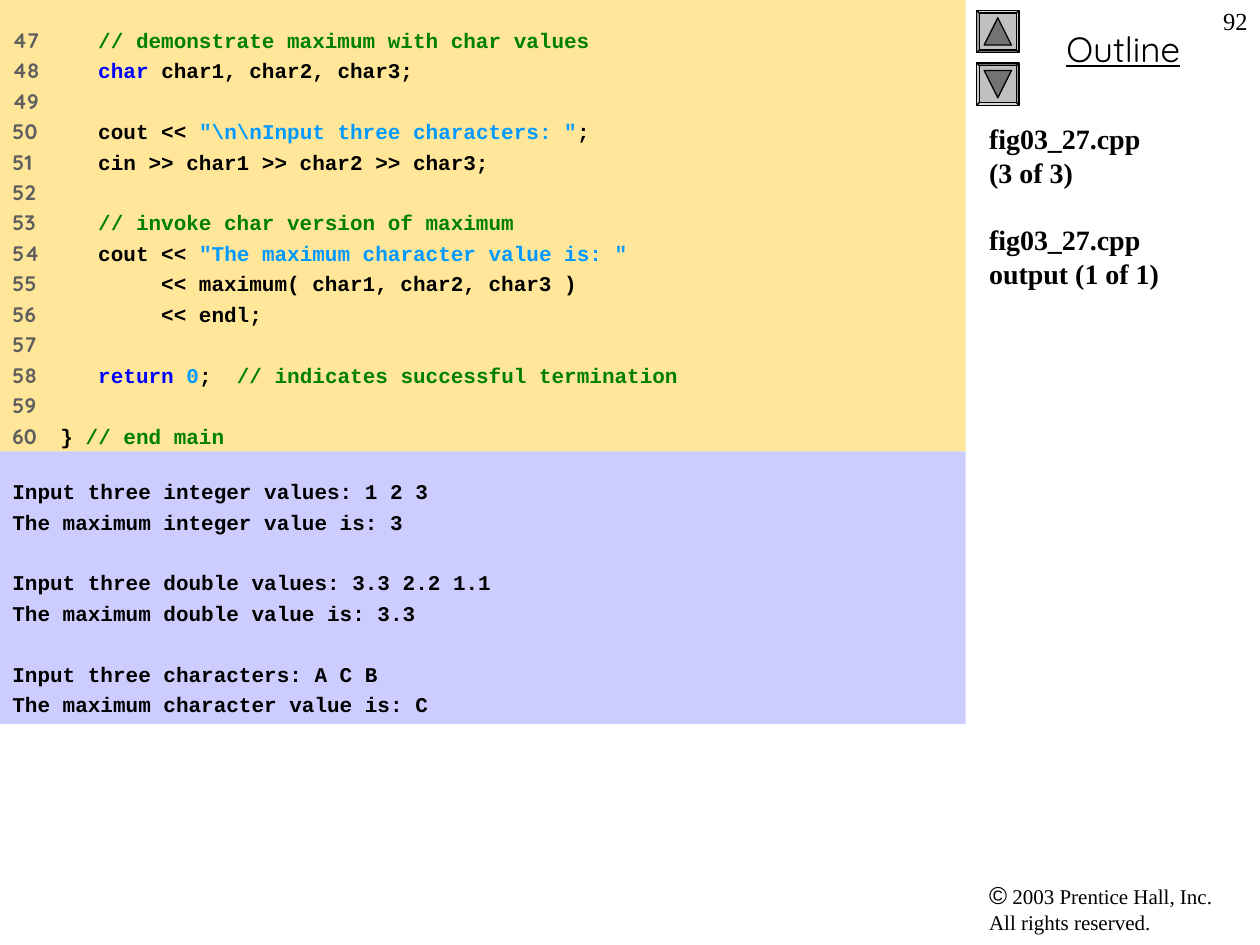
from pptx import Presentation
from pptx.dml.color import RGBColor
from pptx.enum import shapes, text
from pptx.util import Cm, Pt

BLACK = RGBColor(0x00, 0x00, 0x00)
NUMBER_GRAY = RGBColor(0x5F, 0x5F, 0x5F)
COMMENT = RGBColor(0x00, 0x80, 0x00)
KEYWORD = RGBColor(0x00, 0x00, 0xFF)
LITERAL = RGBColor(0x00, 0x99, 0xFF)
CODE_FILL = RGBColor(0xFF, 0xE6, 0x99)
OUTPUT_FILL = RGBColor(0xCC, 0xCC, 0xFF)
BUTTON_FILL = RGBColor(0xC0, 0xC0, 0xC0)
ARROW_FILL = RGBColor(0x73, 0x73, 0x73)

MONO, SERIF, ROUND = "Courier New", "Times New Roman", "Quicksand"
PANEL_WIDTH = 19.47
SIDE_LEFT = 19.69
CODE_SIZE = 12
LEADING = 1.2
CODE_GAP = 3
FIRST_NUMBER = 47

# Each code line is a list of (text, colour) spans
CODE = [
    [("   // demonstrate maximum with char values", COMMENT)],
    [("   char", KEYWORD), (" char1, char2, char3;", BLACK)],
    [],
    [("   cout << ", BLACK), (r'"\n\nInput three characters: "', LITERAL), (";", BLACK)],
    [("   cin >> char1 >> char2 >> char3;", BLACK)],
    [],
    [("   // invoke char version of maximum", COMMENT)],
    [("   cout << ", BLACK), ('"The maximum character value is: "', LITERAL)],
    [("        << maximum( char1, char2, char3 )", BLACK)],
    [("        << endl;", BLACK)],
    [],
    [("   return ", KEYWORD), ("0", LITERAL), (";  ", BLACK),
     ("// indicates successful termination", COMMENT)],
    [],
    [("} ", BLACK), ("// end main", COMMENT)],
]

OUTPUT = [
    ("Input three integer values: 1 2 3", "The maximum integer value is: 3"),
    ("Input three double values: 3.3 2.2 1.1", "The maximum double value is: 3.3"),
    ("Input three characters: A C B", "The maximum character value is: C"),
]

FILES = [("fig03_27.cpp", "(3 of 3)"), ("fig03_27.cpp", "output (1 of 1)")]


def add_span(para, wording, font, size, color=BLACK, bold=False):
    span = para.add_run()
    span.text = wording
    span.font.name = font
    span.font.size = Pt(size)
    span.font.bold = bold
    span.font.color.rgb = color
    return span


def add_textbox(page, left, top, width, height):
    frame = page.shapes.add_textbox(Cm(left), Cm(top), Cm(width), Cm(height)).text_frame
    frame.word_wrap = True
    return frame


def add_panel(page, top, height, fill):
    panel = page.shapes.add_shape(shapes.MSO_SHAPE.RECTANGLE,
                                  Cm(0), Cm(top), Cm(PANEL_WIDTH), Cm(height))
    panel.shadow.inherit = False
    panel.fill.solid()
    panel.fill.fore_color.rgb = fill
    panel.line.fill.background()
    frame = panel.text_frame
    frame.word_wrap = True
    frame.vertical_anchor = text.MSO_ANCHOR.TOP
    frame.margin_top = frame.margin_bottom = Cm(0.55)
    return frame


def next_paragraph(frame, index, size, gap=0):
    """Return paragraph `index` with fixed leading; the first has no gap."""
    para = frame.add_paragraph() if index else frame.paragraphs[0]
    para.alignment = text.PP_ALIGN.LEFT
    para.line_spacing = Pt(size * LEADING)
    para.space_before = Pt(gap if index else 0)
    return para


def add_code_tab(para):
    properties = para._p.get_or_add_pPr()
    tabs = properties.makeelement(
        "{http://schemas.openxmlformats.org/drawingml/2006/main}tabLst", {})
    tabs.append(tabs.makeelement(
        "{http://schemas.openxmlformats.org/drawingml/2006/main}tab",
        {"pos": str(Cm(0.97)), "algn": "l"}))
    properties.append(tabs)


def add_code(page):
    frame = add_panel(page, 0, 9.1, CODE_FILL)
    for index, spans in enumerate(CODE):
        para = next_paragraph(frame, index, CODE_SIZE, CODE_GAP)
        number = str(FIRST_NUMBER + index)
        if spans:
            add_code_tab(para)
            number += "\t"
        add_span(para, number, ROUND, CODE_SIZE, NUMBER_GRAY, True)
        for wording, color in spans:
            add_span(para, wording, MONO, CODE_SIZE, color, True)


def add_groups(frame, groups, font, size, gap):
    """Write groups of lines, with the height of one line between groups."""
    index = 0
    for group in groups:
        for position, line in enumerate(group):
            extra = 0 if position else size * LEADING + gap
            para = next_paragraph(frame, index, size, gap + extra)
            add_span(para, line, font, size, bold=True)
            index += 1


def add_button(page, top, bevel_turn, arrow_turn, arrow_top):
    side, arrow_side = 0.85, 0.55
    arrow_left = SIDE_LEFT + (side - arrow_side) / 2
    parts = [
        (shapes.MSO_SHAPE.BEVEL, SIDE_LEFT, top, side, BUTTON_FILL, bevel_turn),
        (shapes.MSO_SHAPE.ISOSCELES_TRIANGLE, arrow_left, arrow_top, arrow_side,
         ARROW_FILL, arrow_turn),
    ]
    for kind, left, part_top, size, fill, turn in parts:
        part = page.shapes.add_shape(kind, Cm(left), Cm(part_top), Cm(size), Cm(size))
        part.shadow.inherit = False
        part.fill.solid()
        part.fill.fore_color.rgb = fill
        part.line.color.rgb = BLACK
        part.line.width = Pt(0.75)
        part.rotation = turn
        if kind == shapes.MSO_SHAPE.BEVEL:
            part.adjustments[0] = 0.06


def add_labels(page):
    # Copyright
    para = add_textbox(page, SIDE_LEFT, 17.62, 5.51, 1.37).paragraphs[0]
    add_span(para, "©", "Arial", 14)
    add_span(para, " 2003 Prentice Hall, Inc.", SERIF, 12)
    para.add_line_break()
    add_span(para, "All rights reserved.", SERIF, 12)

    # Outline heading
    para = add_textbox(page, 19.89, 0.43, 5.51, 1.12).paragraphs[0]
    para.alignment = text.PP_ALIGN.CENTER
    add_span(para, "Outline", ROUND, 20).font.underline = True

    # Page number
    para = add_textbox(page, 24.13, 0, 1.27, 1.27).paragraphs[0]
    para.alignment = text.PP_ALIGN.RIGHT
    add_span(para, "92", SERIF, 14)


def main():
    deck = Presentation()
    deck.slide_width, deck.slide_height = Cm(25.4), Cm(19.05)
    page = deck.slides.add_slide(deck.slide_layouts[6])

    # Side column
    add_labels(page)
    add_button(page, 0.21, 90, 0, 0.36)
    add_button(page, 1.27, 270, 180, 1.42)
    add_groups(add_textbox(page, SIDE_LEFT, 2.33, 5.71, 13.33), FILES, SERIF, 16, 0)

    # Program listing and its output
    add_code(page)
    add_groups(add_panel(page, 9.1, 5.5, OUTPUT_FILL), OUTPUT, MONO, CODE_SIZE, CODE_GAP)

    deck.save("out.pptx")


if __name__ == "__main__":
    main()
